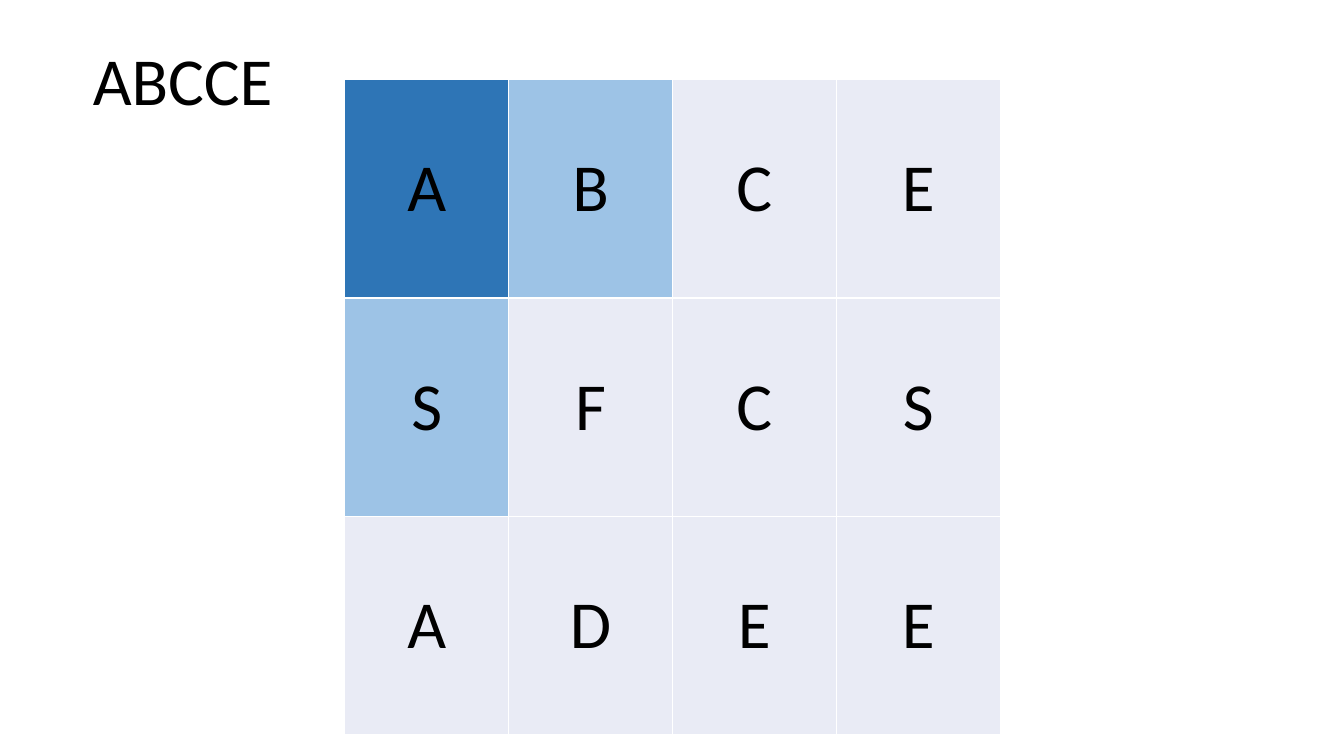
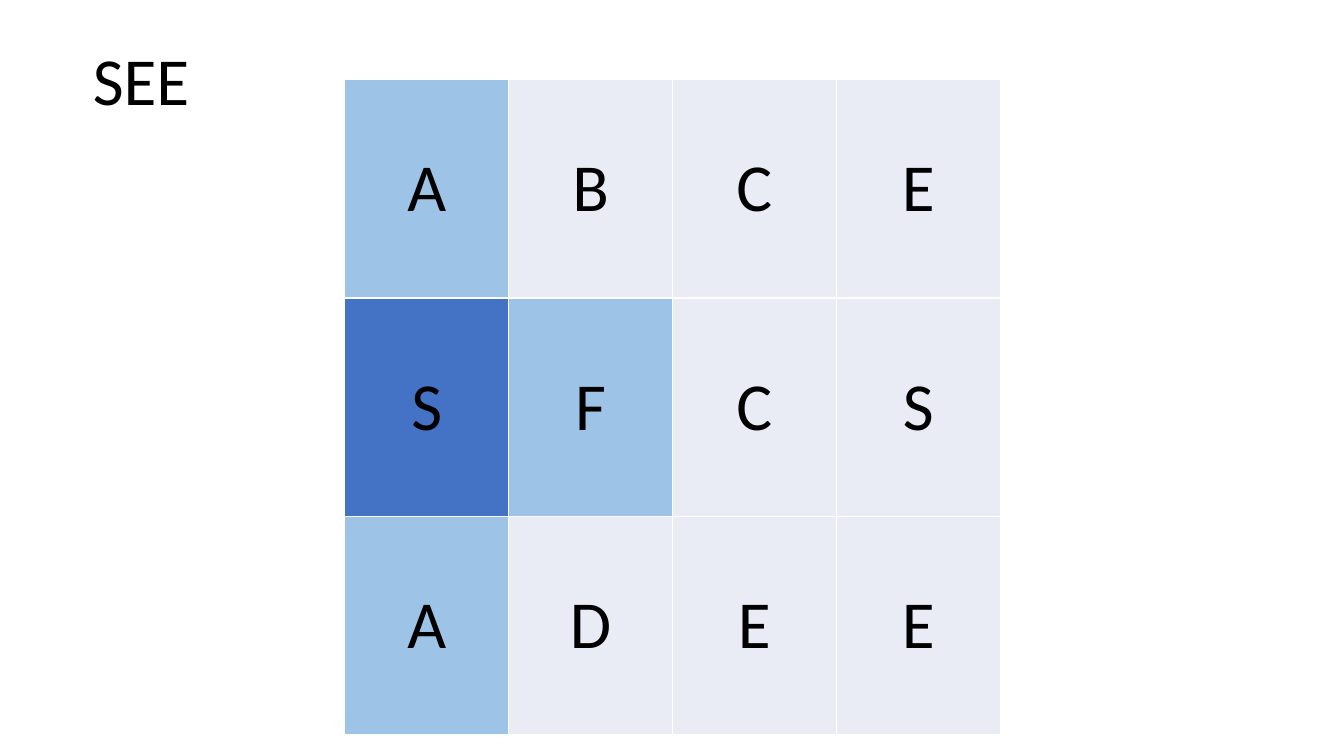
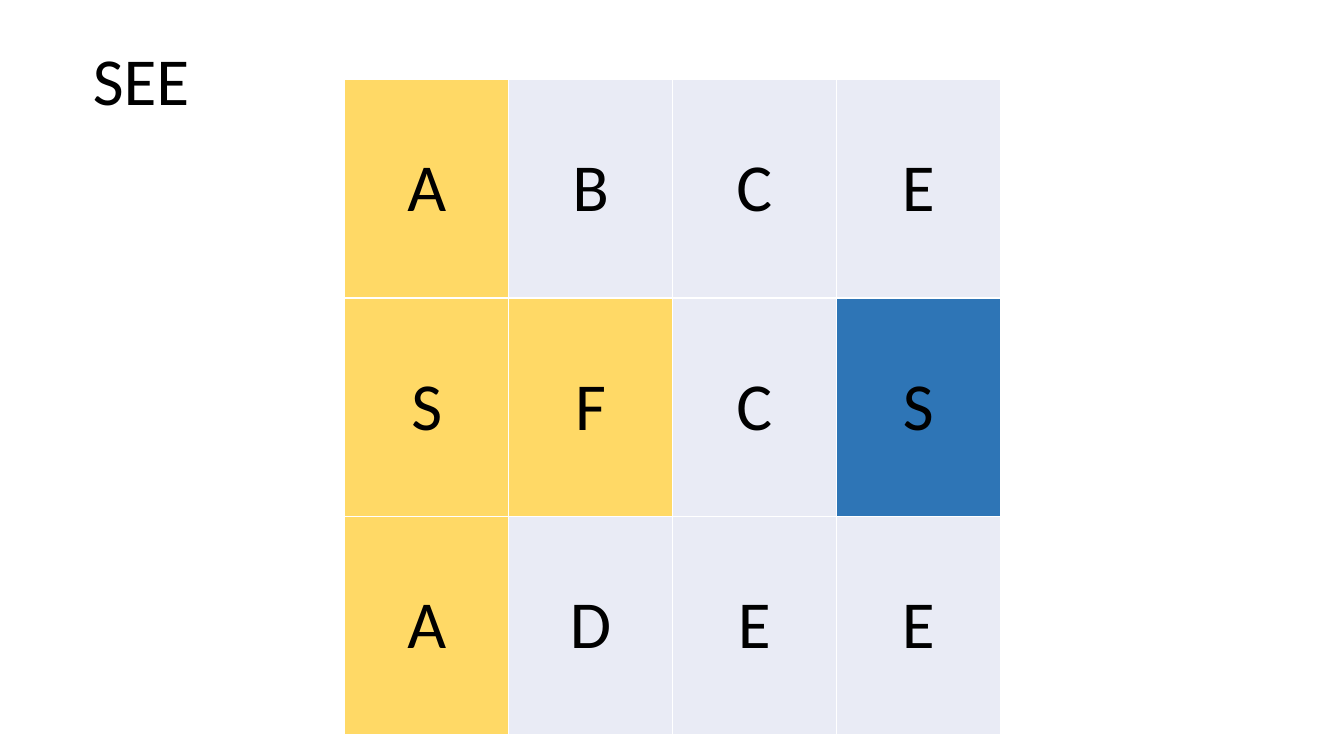
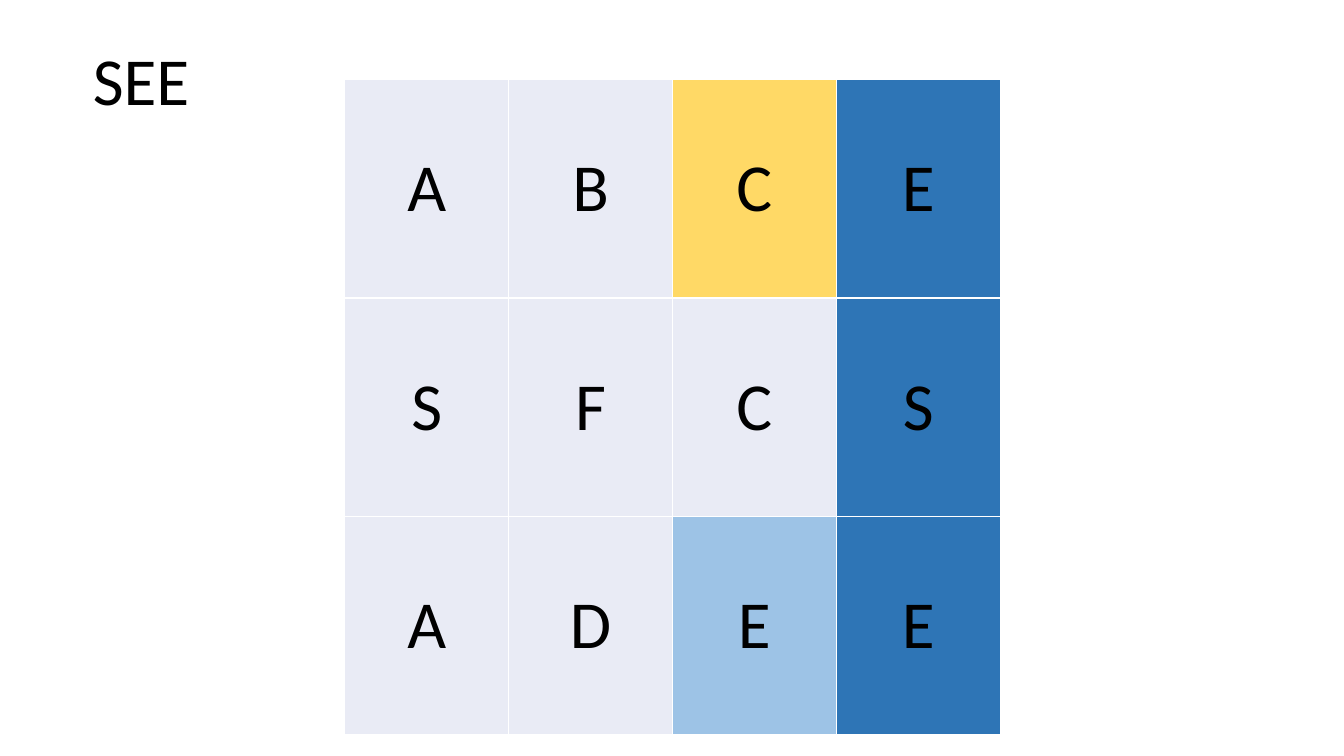
from lxml import etree
from pptx import Presentation
from pptx import util as u
from pptx.dml import color
from pptx.enum import text
from pptx.oxml import ns

# Shared style
FONT = "Calibri"
FONT_SIZE = u.Pt(48)
BLACK, WHITE = "000000", "FFFFFF"
UNVISITED, NEIGHBOUR, REJECTED = "E9EBF5", "9DC3E6", "FFD966"
MATCHED, START = "2E75B6", "4472C4"

BOARD = ["ABCE", "SFCS", "ADEE"]


def rgb(hex_value):
    return color.RGBColor.from_string(hex_value)


class Deck:
    """Holds the presentation, its style and the current slide."""

    def __init__(self):
        self.presentation = Presentation()
        self.presentation.slide_width = u.Inches(13.33)
        self.presentation.slide_height = u.Inches(7.5)
        self.slide = None

    def add_slide(self):
        title_only = self.presentation.slide_layouts[5]
        self.slide = self.presentation.slides.add_slide(title_only)
        background = self.slide.background.fill
        background.solid()
        background.fore_color.rgb = rgb(WHITE)

    def format_text(self, text_frame, content, alignment):
        text_frame.text = content
        paragraph = text_frame.paragraphs[0]
        paragraph.alignment = alignment
        font = paragraph.runs[0].font
        font.name = FONT
        font.size = FONT_SIZE
        font.color.rgb = rgb(BLACK)

    def title(self, word):
        shape = self.slide.shapes.title
        shape.left, shape.top = u.Inches(0.82), u.Inches(0.33)
        shape.width, shape.height = u.Inches(3.42), u.Inches(0.91)
        text_frame = shape.text_frame
        text_frame.word_wrap = True
        text_frame.auto_size = text.MSO_AUTO_SIZE.SHAPE_TO_FIT_TEXT
        text_frame.vertical_anchor = text.MSO_ANCHOR.TOP
        self.format_text(text_frame, word, text.PP_ALIGN.LEFT)

    def cell_borders(self, cell):
        properties = cell._tc.get_or_add_tcPr()
        for side in ("lnL", "lnR", "lnT", "lnB"):
            line = etree.SubElement(properties, ns.qn(f"a:{side}"), w=str(u.Pt(1)))
            fill = etree.SubElement(line, ns.qn("a:solidFill"))
            etree.SubElement(fill, ns.qn("a:srgbClr"), val=WHITE)

    def board(self, highlights):
        size = u.Inches(6.5)
        table = self.slide.shapes.add_table(
            len(BOARD), len(BOARD[0]), u.Inches(3.42), u.Inches(0.79), size, size
        ).table
        table.first_row = table.horz_banding = False
        for row, letters in enumerate(BOARD):
            for column, letter in enumerate(letters):
                cell = table.cell(row, column)
                self.cell_borders(cell)
                cell.fill.solid()
                cell.fill.fore_color.rgb = rgb(highlights.get((row, column), UNVISITED))
                cell.vertical_anchor = text.MSO_ANCHOR.MIDDLE
                self.format_text(cell.text_frame, letter, text.PP_ALIGN.CENTER)


# Search steps: the word and the highlighted (row, column) cells
STEPS = [
    ("ABCCE", {(0, 0): MATCHED, (0, 1): NEIGHBOUR, (1, 0): NEIGHBOUR}),
    ("SEE", {(1, 0): START, (0, 0): NEIGHBOUR, (1, 1): NEIGHBOUR, (2, 0): NEIGHBOUR}),
    ("SEE", {(0, 0): REJECTED, (1, 0): REJECTED, (1, 1): REJECTED,
             (2, 0): REJECTED, (1, 3): MATCHED}),
    ("SEE", {(0, 2): REJECTED, (2, 2): NEIGHBOUR,
             (0, 3): MATCHED, (1, 3): MATCHED, (2, 3): MATCHED}),
]

# Slides
deck = Deck()
for word, highlights in STEPS:
    deck.add_slide()
    deck.title(word)
    deck.board(highlights)

deck.presentation.save("out.pptx")
